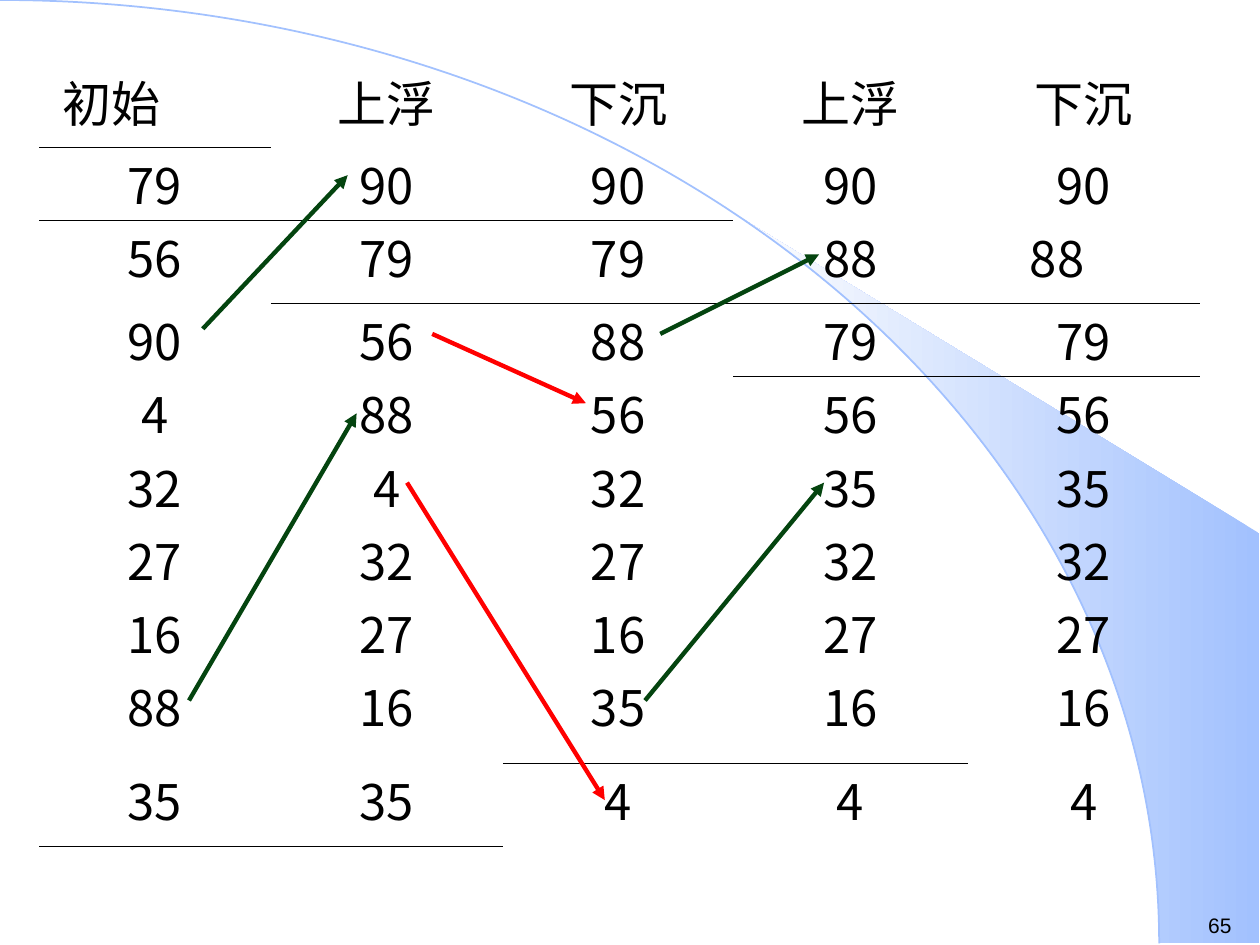
from math import cos, radians, sin

from lxml import etree
from pptx import Presentation
from pptx.dml.color import RGBColor
from pptx.enum.shapes import MSO_CONNECTOR, MSO_SHAPE
from pptx.enum.text import PP_ALIGN
from pptx.oxml.ns import qn
from pptx.util import Pt

ARC = MSO_SHAPE.ARC
STRAIGHT = MSO_CONNECTOR.STRAIGHT
LEFT, CENTER = PP_ALIGN.LEFT, PP_ALIGN.CENTER

BLACK = RGBColor(0x00, 0x00, 0x00)
WHITE = RGBColor(0xFE, 0xFE, 0xFE)
BLUE = RGBColor(0xA2, 0xC1, 0xFE)
GREEN = RGBColor(0x04, 0x44, 0x0F)
RED = RGBColor(0xFF, 0x00, 0x00)
NO_GRID = "{2D5ABB26-0587-4C30-8999-92F81FD0307C}"

# Quarter ellipse centred on the lower left corner of the slide
RX, RY = 662.4, 539

HEADS = ["初始", "上浮", "下沉", "上浮", "下沉"]
STEPS = [
    [79, 56, 90, 4, 32, 27, 16, 88, 35],
    [90, 79, 56, 88, 4, 32, 27, 16, 35],
    [90, 79, 88, 56, 32, 27, 16, 35, 4],
    [90, 88, 79, 56, 35, 32, 27, 16, 4],
    [90, 88, 79, 56, 35, 32, 27, 16, 4],
]
COLS = [132.5, 132.5, 131.8, 133.9, 132.5]
ROWS = [46.8, 41.8, 47.5] + [41.8] * 5 + [54, 47.5]
# Row above the rule, and the columns it spans
RULES = [(0, [0]), (1, [1, 2]), (2, [3, 4]), (8, [2, 3]), (9, [0, 1])]

ARROWS = [
    (115.9, 187.9, 198.7, 100.1, GREEN),
    (108, 400.3, 203.8, 236.2, GREEN),
    (247, 190.8, 334.8, 230.4, RED),
    (232.6, 275.8, 345.6, 457.2, RED),
    (368.6, 400.3, 470.9, 275.8, GREEN),
    (377.3, 190.8, 468, 145.4, GREEN),
]


class Board:
    def __init__(self, slide):
        self.shapes = slide.shapes
        self.font = "Noto Sans CJK SC"
        self.size = 28

    def style(self, para, font, size, align):
        para.alignment = align
        para.font.name = font
        para.font.size = Pt(size)
        para.font.color.rgb = BLACK
        etree.SubElement(para.font._rPr, qn("a:ea"), typeface=font)

    def wedge(self, points):
        """Draw a closed outline that fades to white on its left."""
        pen, *rest = [(Pt(x), Pt(y)) for x, y in points]
        build = self.shapes.build_freeform(*pen, scale=1.0)
        build.add_line_segments(rest, close=True)
        shape = build.convert_to_shape()
        shape.shadow.inherit = False
        shape.line.fill.background()
        shape.fill.gradient()
        shape.fill.gradient_angle = 180
        for stop, color in zip(shape.fill.gradient_stops, (BLUE, WHITE)):
            stop.color.rgb = color

    def arc(self, x, y, w, h):
        shape = self.shapes.add_shape(ARC, Pt(x), Pt(y), Pt(w), Pt(h))
        shape.shadow.inherit = False
        shape.fill.background()
        shape.line.color.rgb = BLUE
        shape.line.width = Pt(1)

    def text(self, x, y, w, h, words):
        frame = self.shapes.add_textbox(Pt(x), Pt(y), Pt(w), Pt(h)).text_frame
        frame.word_wrap = True
        frame.text = words
        self.style(frame.paragraphs[0], "Arial", 12, LEFT)

    def cell(self, cell, words, align):
        cell.fill.background()
        cell.margin_bottom = Pt(1.5)
        cell.text = words
        para = cell.text_frame.paragraphs[0]
        para.line_spacing = 0.9
        self.style(para, self.font, self.size, align)

    def edge(self, cell, side):
        """Rule one side of a cell: lnT or lnB."""
        line = etree.Element(qn("a:" + side), w=str(Pt(0.45)))
        fill = etree.SubElement(line, qn("a:solidFill"))
        etree.SubElement(fill, qn("a:srgbClr"), val=str(BLACK))
        cell._tc.get_or_add_tcPr().insert(0, line)

    def table(self, x, y):
        frame = self.shapes.add_table(len(ROWS), len(COLS), Pt(x), Pt(y),
                                      Pt(sum(COLS)), Pt(sum(ROWS)))
        table = frame.table
        table.first_row = table.horz_banding = False
        table._tbl.tblPr.find(qn("a:tableStyleId")).text = NO_GRID
        for row, high in zip(table.rows, ROWS):
            row.height = Pt(high)
        for c, (head, step) in enumerate(zip(HEADS, STEPS)):
            table.columns[c].width = Pt(COLS[c])
            for r, item in enumerate([head] + step):
                first = r == c == 0
                self.cell(table.cell(r, c), str(item), LEFT if first else CENTER)
        table.cell(0, 0).margin_left = Pt(13.5)
        table.cell(2, 4).margin_right = Pt(37.5)
        for r, cols in RULES:
            for c in cols:
                self.edge(table.cell(r, c), "lnB")
                if r + 1 < len(ROWS):
                    self.edge(table.cell(r + 1, c), "lnT")

    def arrow(self, x1, y1, x2, y2, color):
        line = self.shapes.add_connector(STRAIGHT, Pt(x1), Pt(y1), Pt(x2), Pt(y2))
        line.line.color.rgb = color
        line.line.width = Pt(2.5)
        etree.SubElement(line.line._get_or_add_ln(), qn("a:tailEnd"), type="triangle")
        etree.SubElement(line._element.spPr, qn("a:effectLst"))


def curve(start, end, count):
    """Points along the ellipse, with angles in degrees from its right end."""
    turns = [radians(start + (end - start) * i / count) for i in range(count + 1)]
    return [(RX * cos(t), RY * (1 - sin(t))) for t in turns]


def main():
    deck = Presentation()
    deck.slide_width, deck.slide_height = Pt(720), Pt(540)
    board = Board(deck.slides.add_slide(deck.slide_layouts[6]))
    board.wedge([(719.3, RY), (719.3, 304.6)] + curve(50.2, 0, 24))
    board.arc(-RX, 0, 2 * RX, 2 * RY)
    board.text(683.3, 517.7, 36.7, 21.6, "65")
    board.table(22.3, 37.4)
    for arrow in ARROWS:
        board.arrow(*arrow)
    deck.save("out.pptx")


if __name__ == "__main__":
    main()
